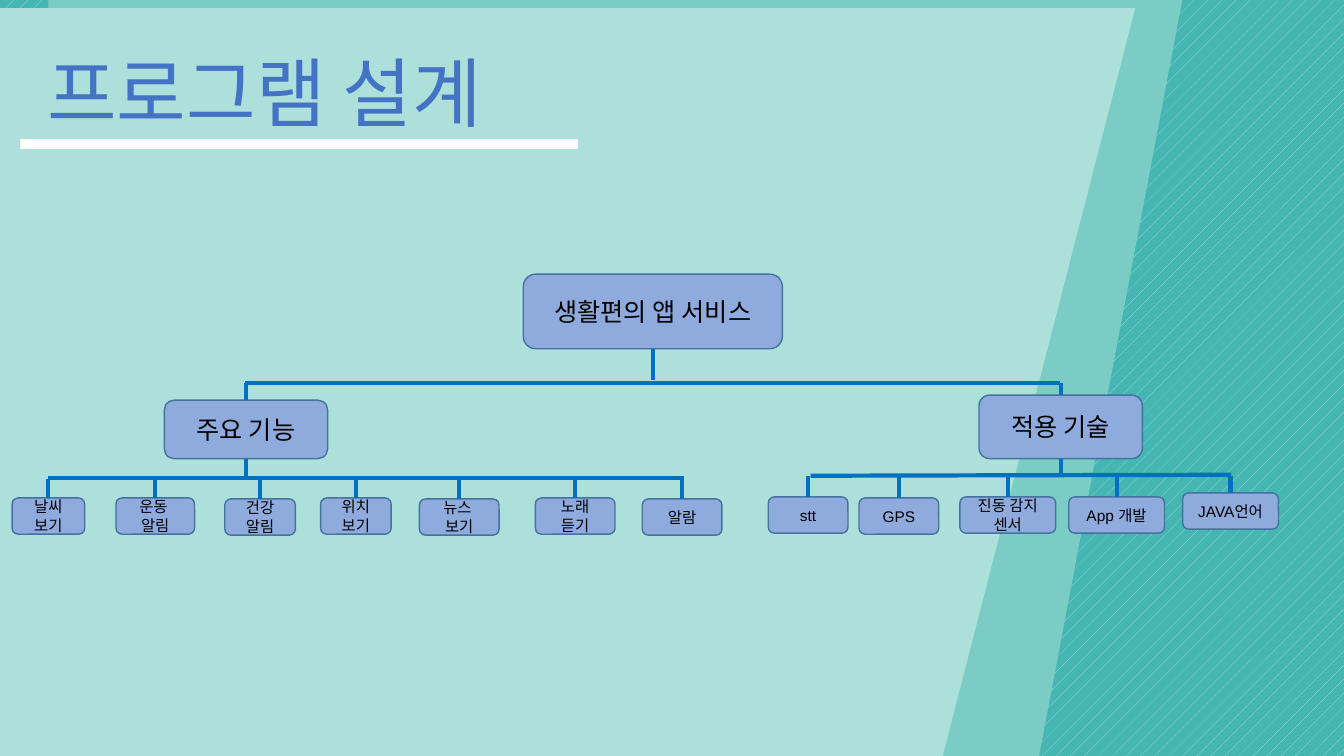
from lxml.etree import SubElement
from pptx import Presentation
from pptx.dml.color import RGBColor
from pptx.enum.dml import MSO_PATTERN
from pptx.enum.shapes import MSO_CONNECTOR, MSO_SHAPE
from pptx.enum.text import MSO_ANCHOR, MSO_AUTO_SIZE, PP_ALIGN
from pptx.oxml.ns import qn
from pptx.util import Inches, Pt

PALE = RGBColor(0xAD, 0xE0, 0xDB)
MINT = RGBColor(0x7A, 0xCC, 0xC4)
TEAL = RGBColor(0x45, 0xB6, 0xB2)
TITLE_BLUE = RGBColor(0x44, 0x72, 0xC4)
BOX_FILL = RGBColor(0x8F, 0xAA, 0xDC)
BOX_LINE = RGBColor(0x43, 0x73, 0x9E)
LINK_BLUE = RGBColor(0x00, 0x70, 0xC0)
WHITE = RGBColor(0xFF, 0xFF, 0xFF)
BLACK = RGBColor(0x00, 0x00, 0x00)

LEAF_HEIGHT = 0.36
# Each leaf: left, top, width, paragraphs
FEATURES = [
    (0.12, 4.94, 0.72, ["날씨 보기"]),
    (1.15, 4.94, 0.78, ["운동 ", "알림"]),
    (2.23, 4.95, 0.7, ["건강 알림"]),
    (3.18, 4.94, 0.7, ["위치", "보기"]),
    (4.16, 4.95, 0.79, ["뉴스 ", "보기"]),
    (5.31, 4.94, 0.79, ["노래", "듣기"]),
    (6.37, 4.95, 0.79, ["알람"]),
]
TECHNOLOGIES = [
    (7.62, 4.93, 0.79, ["stt"]),
    (8.52, 4.94, 0.79, ["GPS"]),
    (9.52, 4.93, 0.95, ["진동 감지 센서"]),
    (10.6, 4.93, 0.95, ["App 개발"]),
    (11.73, 4.89, 0.95, ["JAVA언어"]),
]


def add_run(p, text, size, color):
    r = p.add_run()
    r.text = text
    r.font.name = "Arial"
    r.font.size = Pt(size)
    r.font.color.rgb = color


def add_panel(s, points, color):
    (x, y), *rest = [(Inches(px), Inches(py)) for px, py in points]
    builder = s.shapes.build_freeform(x, y)
    builder.add_line_segments(rest, close=True)
    sp = builder.convert_to_shape()
    sp.shadow.inherit = False
    sp.fill.solid()
    sp.fill.fore_color.rgb = color
    sp.line.fill.background()


def add_title(s, text):
    sp = s.shapes.title
    sp.element.getparent().append(sp.element)  # bring in front of the panels
    sp.left, sp.top = Inches(0.37), Inches(0.41)
    sp.width, sp.height = Inches(5.26), Inches(1.01)
    tf = sp.text_frame
    tf.word_wrap = True
    tf.auto_size = MSO_AUTO_SIZE.SHAPE_TO_FIT_TEXT
    tf.vertical_anchor = MSO_ANCHOR.TOP
    p = tf.paragraphs[0]
    p.alignment = PP_ALIGN.JUSTIFY
    p.line_spacing = 1.0
    p.space_before = Pt(0)
    add_run(p, text, 54, TITLE_BLUE)


def add_line(s, x1, y1, x2, y2, color=LINK_BLUE, width=3):
    line = s.shapes.add_connector(
        MSO_CONNECTOR.STRAIGHT, Inches(x1), Inches(y1), Inches(x2), Inches(y2))
    line.line.color.rgb = color
    line.line.width = Pt(width)
    SubElement(line.element.spPr, qn("a:effectLst"))
    return line


def add_box(s, left, top, width, height, lines, size):
    sp = s.shapes.add_shape(
        MSO_SHAPE.ROUNDED_RECTANGLE,
        Inches(left), Inches(top), Inches(width), Inches(height))
    sp.shadow.inherit = False
    sp.fill.solid()
    sp.fill.fore_color.rgb = BOX_FILL
    sp.line.color.rgb = BOX_LINE
    sp.line.width = Pt(1)
    tf = sp.text_frame
    tf.word_wrap = True
    tf.vertical_anchor = MSO_ANCHOR.MIDDLE
    for i, text in enumerate(lines):
        p = tf.add_paragraph() if i else tf.paragraphs[0]
        p.alignment = PP_ALIGN.CENTER
        add_run(p, text, size, BLACK)
    return sp


def add_child(s, bus_y, left, top, width, height, lines, size):
    """Add a box hanging from the horizontal line at bus_y."""
    sp = add_box(s, left, top, width, height, lines, size)
    center = left + width / 2
    add_line(s, center, bus_y, center, top).end_connect(sp, 0)
    return sp


def add_stem(s, sp, x, top, bottom):
    add_line(s, x, top, x, bottom).begin_connect(sp, 2)


def main():
    prs = Presentation()
    prs.slide_width, prs.slide_height = Inches(13.33), Inches(7.5)
    s = prs.slides.add_slide(prs.slide_layouts[5])

    # Patterned background and slanted panels
    fill = s.background.fill
    fill.patterned()
    fill.pattern = MSO_PATTERN.PERCENT_5
    fill.fore_color.rgb = PALE
    fill.back_color.rgb = TEAL
    add_panel(s, [(0.48, -0.02), (11.73, -0.02), (10.27, 7.69),
                  (9.65, 7.56), (0.48, 7.56)], MINT)
    add_panel(s, [(0, 0.08), (11.26, 0.08), (9.33, 7.58), (0, 7.58)], PALE)

    # Title with underline
    add_title(s, "프로그램 설계")
    add_line(s, 0.2, 1.43, 5.73, 1.43, WHITE, 7.25)

    # Root and its two branches
    root = add_box(s, 5.19, 2.72, 2.57, 0.74, ["생활편의 앱 서비스"], 18)
    add_stem(s, root, 6.475, 3.46, 3.77)
    add_line(s, 2.43, 3.8, 6.47, 3.8)
    add_line(s, 6.47, 3.8, 10.51, 3.8)
    features = add_child(s, 3.8, 1.63, 3.97, 1.62, 0.58, ["주요 기능"], 18)
    technologies = add_child(s, 3.8, 9.71, 3.92, 1.62, 0.63, ["적용 기술"], 18)

    # Leaves under each branch
    add_line(s, 0.48, 4.74, 6.78, 4.74)
    add_stem(s, features, 2.44, 4.55, 4.73)
    add_line(s, 8.04, 4.72, 12.21, 4.71)
    add_stem(s, technologies, 10.52, 4.55, 4.72)
    for bus_y, leaves in ((4.75, FEATURES), (4.72, TECHNOLOGIES)):
        for left, top, width, lines in leaves:
            add_child(s, bus_y, left, top, width, LEAF_HEIGHT, lines, 11)

    prs.save("out.pptx")


if __name__ == "__main__":
    main()
